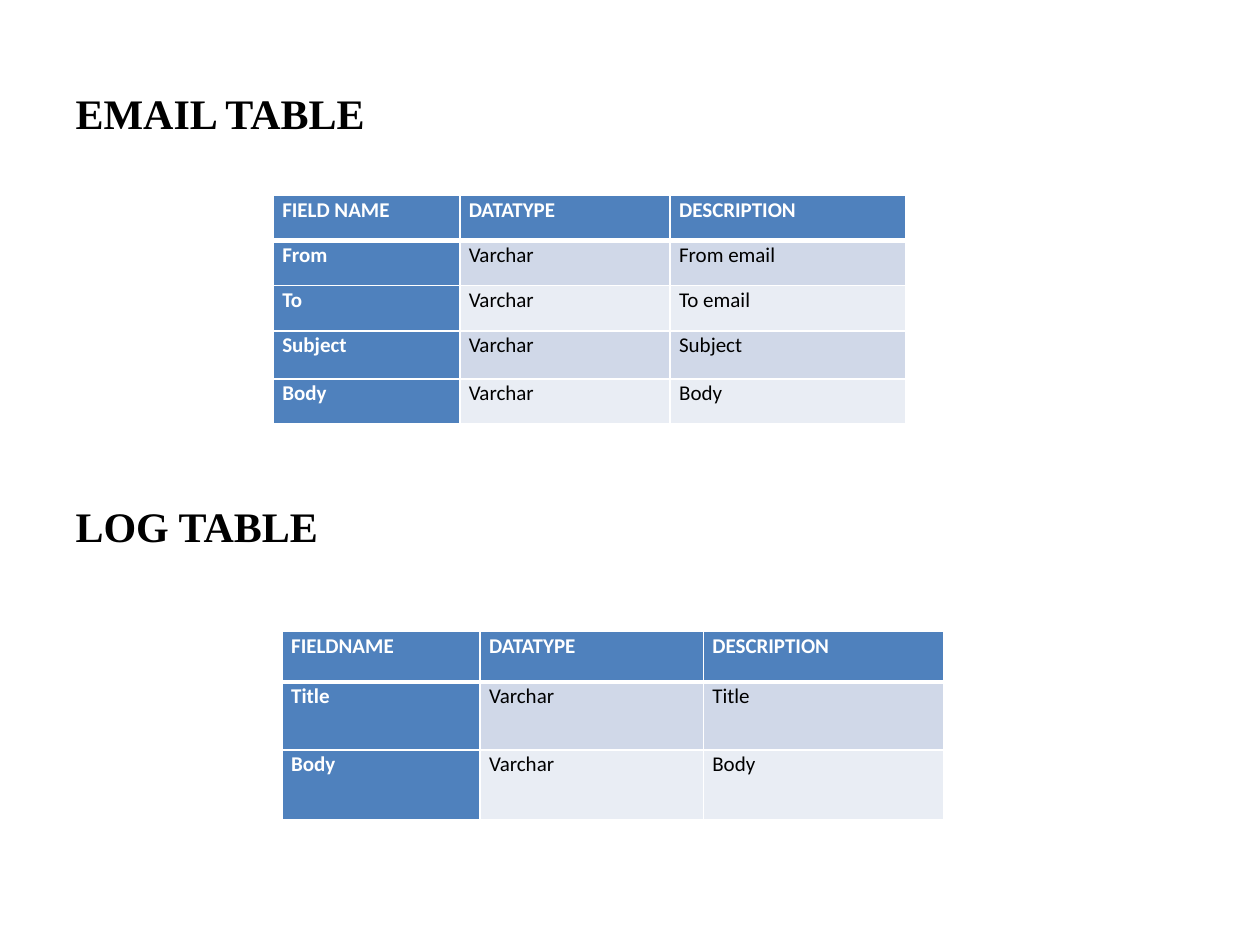
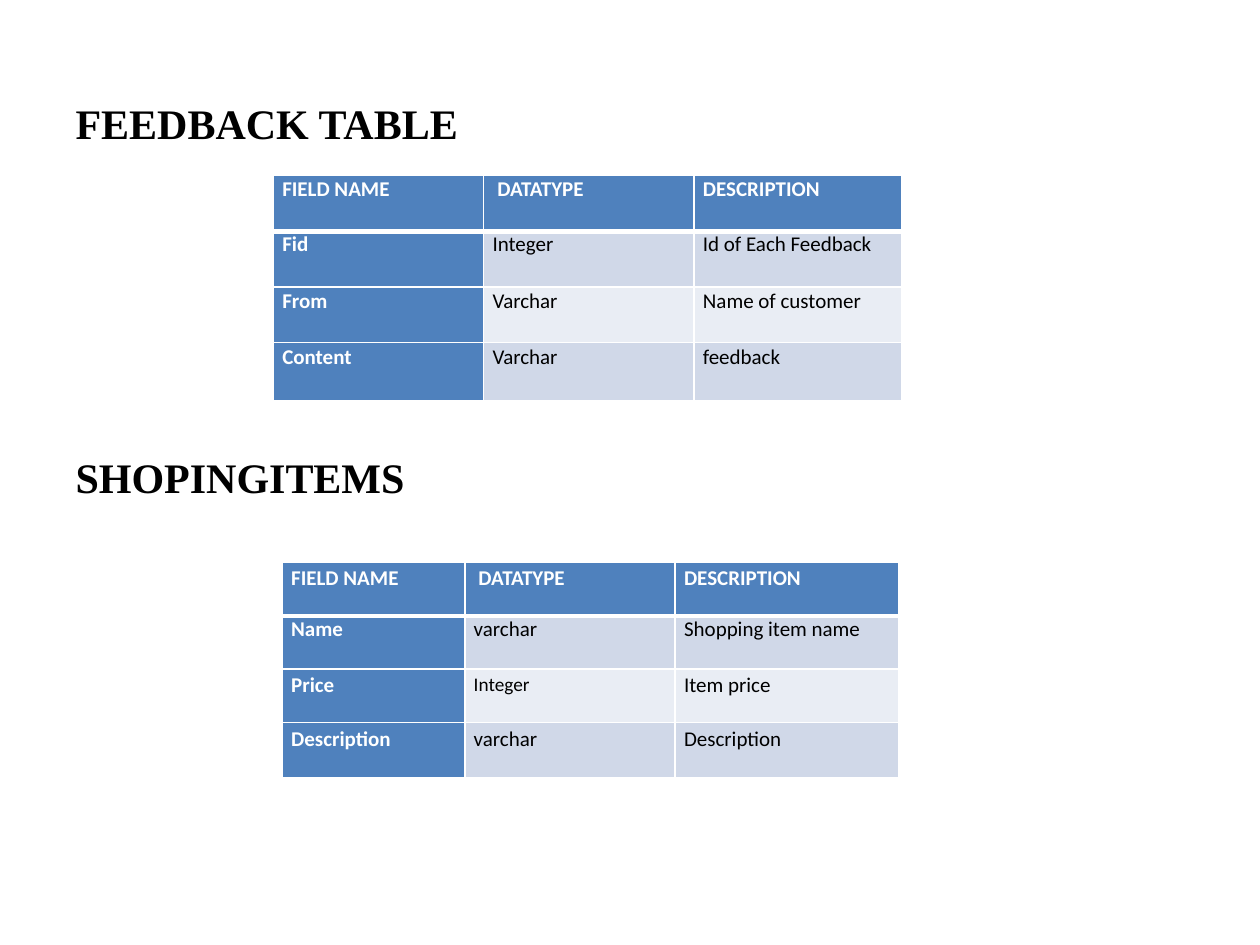
from pptx import Presentation
from pptx import util as u
from pptx.dml.color import RGBColor
from pptx.enum import text
from pptx.oxml import parse_xml
from pptx.oxml.ns import nsdecls

BLUE = RGBColor(0x4F, 0x81, 0xBD)
BANDS = RGBColor(0xD0, 0xD8, 0xE8), RGBColor(0xE9, 0xED, 0xF4)
WHITE = RGBColor(0xFF, 0xFF, 0xFF)
BLACK = RGBColor(0, 0, 0)
HEAD, CELL = "Times New Roman", "Calibri"


class Deck:
    def __init__(self):
        self.prs = Presentation()
        self.prs.slide_width, self.prs.slide_height = u.Cm(25.4), u.Cm(19.05)

    def page(self):
        self.slide = self.prs.slides.add_slide(self.prs.slide_layouts[1])
        title = self.slide.shapes.title.element
        title.getparent().remove(title)

    def font(self, para, name, size, color, bold):
        font = para.font
        font.name, font.size, font.bold = name, u.Pt(size), bold
        font.color.rgb = color

    def heads(self, top, tall, names, gap):
        body = self.slide.placeholders[1]
        body.left, body.top = u.Cm(1.27), u.Cm(top)
        body.width, body.height = u.Cm(22.86), u.Cm(tall)
        frame = body.text_frame
        frame.text = "\n".join(names)
        frame.auto_size = text.MSO_AUTO_SIZE.NONE
        for para, space in zip(frame.paragraphs, (5, gap)):
            self.font(para, HEAD, 24, BLACK, True)
            para.space_before = u.Pt(space)
            props = para._p.get_or_add_pPr()
            props.set("marL", "0")
            props.set("indent", "0")
            props.append(parse_xml(f"<a:buNone {nsdecls('a')}/>"))

    def edges(self, cell, row):
        props = cell._tc.get_or_add_tcPr()
        wide = {"T": 3 if row == 1 else 1, "B": 3 if row == 0 else 1}
        for spot, side in enumerate("LRTB"):
            props.insert(spot, parse_xml(
                f'<a:ln{side} {nsdecls("a")} w="{u.Pt(wide.get(side, 1))}">'
                f'<a:solidFill><a:srgbClr val="{WHITE}"/></a:solidFill></a:ln{side}>'))

    def cell(self, cell, words, row, col, lead, after):
        strong = row == 0 or col == 0
        cell.margin_left = cell.margin_right = u.Cm(0.18)
        cell.margin_top = cell.margin_bottom = 0
        cell.text = words
        para = cell.text_frame.paragraphs[0]
        self.font(para, CELL, 12, WHITE if strong else BLACK, strong)
        para.line_spacing, para.space_after = lead, u.Pt(after)
        cell.fill.solid()
        cell.fill.fore_color.rgb = BLUE if strong else BANDS[(row - 1) % 2]
        self.edges(cell, row)

    def table(self, left, top, wides, talls, rows, lead=1.07, after=8, tight=None):
        grid = self.slide.shapes.add_table(
            len(rows), len(wides), u.Cm(left), u.Cm(top),
            u.Cm(sum(wides)), u.Cm(sum(talls))).table
        for col, wide in zip(grid.columns, wides):
            col.width = u.Cm(wide)
        for line, tall in zip(grid.rows, talls):
            line.height = u.Cm(tall)
        for r, line in enumerate(rows):
            pace = (1.0, 0) if r == tight else (lead, after)
            for c, words in enumerate(line):
                self.cell(grid.cell(r, c), words, r, c, *pace)
        return grid


def main():
    deck = Deck()

    deck.page()
    deck.heads(1.63, 15.7, ("EMAIL TABLE", "LOG TABLE"), 207.3)
    deck.table(5.51, 3.94, (3.76, 4.24, 4.75), (0.91, 0.91, 0.91, 0.97, 0.91), (
        ("FIELD NAME", "DATATYPE", "DESCRIPTION"),
        ("From", "Varchar", "From email"),
        ("To", "Varchar", "To email"),
        ("Subject", "Varchar", "Subject"),
        ("Body", "Varchar", "Body")))
    deck.table(5.69, 12.73, (3.99, 4.5, 4.85), (1.02, 1.37, 1.4), (
        ("FIELDNAME", "DATATYPE", "DESCRIPTION"),
        ("Title", "Varchar", "Title"),
        ("Body", "Varchar", "Body")))

    deck.page()
    deck.heads(1.83, 15.29, ("FEEDBACK TABLE", "SHOPINGITEMS"), 173.5)
    deck.table(5.51, 3.53, (4.24, 4.24, 4.19), (1.14, 1.12, 1.12, 1.17), (
        ("FIELD NAME", " DATATYPE", "DESCRIPTION"),
        ("Fid", "Integer", "Id of Each Feedback"),
        ("From", "Varchar", "Name of customer"),
        ("Content", "Varchar", "feedback")), tight=1)
    items = deck.table(5.69, 11.33, (3.68, 4.24, 4.5), (1.09, 1.07, 1.07, 1.12), (
        ("FIELD NAME", " DATATYPE", "DESCRIPTION"),
        ("Name", "varchar", "Shopping item name"),
        ("Price", "Integer", "Item price"),
        ("Description", "varchar", "Description")), lead=1.15, after=0, tight=1)
    items.cell(2, 1).text_frame.paragraphs[0].font.size = u.Pt(11)

    deck.prs.save("out.pptx")


if __name__ == "__main__":
    main()
